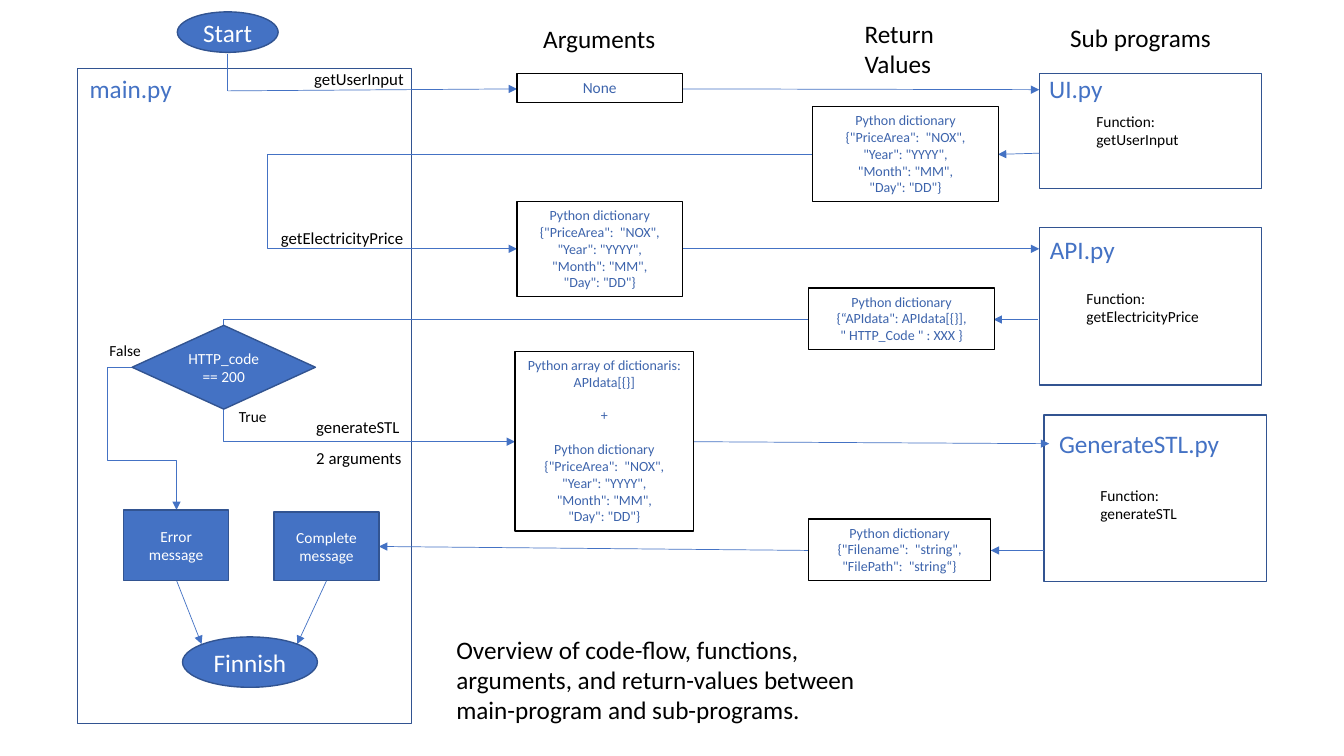
from lxml import etree
from pptx import Presentation
from pptx.dml.color import RGBColor
from pptx.enum.shapes import MSO_CONNECTOR, MSO_SHAPE
from pptx.enum.text import MSO_ANCHOR, MSO_AUTO_SIZE, PP_ALIGN
from pptx.oxml.ns import qn
from pptx.util import Cm, Pt

RECT, OVAL, DIAMOND = MSO_SHAPE.RECTANGLE, MSO_SHAPE.OVAL, MSO_SHAPE.DIAMOND
LINE, ELBOW = MSO_CONNECTOR.STRAIGHT, MSO_CONNECTOR.ELBOW
LEFT, CENTER = PP_ALIGN.LEFT, PP_ALIGN.CENTER
TOP, MIDDLE = MSO_ANCHOR.TOP, MSO_ANCHOR.MIDDLE
GROW = MSO_AUTO_SIZE.SHAPE_TO_FIT_TEXT

BLUE = RGBColor(0x44, 0x72, 0xC4)
NAVY = RGBColor(0x32, 0x54, 0x91)
INK = RGBColor(0x3D, 0x64, 0xAC)
BLACK = RGBColor(0, 0, 0)
WHITE = RGBColor(0xFF, 0xFF, 0xFF)
FONT = "Calibri"

TITLE = "Python dictionary"
DATE = [TITLE, '{"PriceArea":\u00a0 "NOX",', '"Year": "YYYY",',
        '"Month": "MM",', '"Day": "DD"}']

FRAMES = [
    (1.96, 1.73, 8.41, 16.51),
    (26.19, 1.85, 5.61, 2.9),
    (26.19, 5.74, 5.61, 3.96),
    (26.31, 10.46, 5.61, 4.19),
]
ARROWS = [
    (5.74, 2.29, 13.03, 2.24),
    (17.2, 2.24, 26.19, 2.26),
    (26.19, 3.86, 25.15, 3.89),
    (17.2, 6.27, 26.19, 6.27),
    (26.16, 8.05, 25.04, 8.05),
    (17.48, 11.13, 26.44, 11.18),
    (26.31, 13.87, 24.97, 13.87),
    (20.37, 13.87, 9.55, 13.77),
    (4.45, 14.63, 5.08, 16.23),
    (8.23, 14.63, 7.49, 16.23),
]
BENDS = [
    ((20.47, 3.89, 13.03, 6.27), [184500]),
    ((20.37, 8.05, 12.98, 11.13), [199600]),
    ((3.33, 9.27, 4.45, 12.85), [-56600, 64800]),
]
BOXES = [
    ((13.03, 1.85, 4.17, 0.74), ["None"], 11),
    ((20.47, 2.69, 4.7, 2.39), DATE, 10),
    ((13.03, 5.08, 4.17, 2.39), DATE, 10),
    ((20.37, 7.26, 4.7, 1.55),
     [TITLE, '{\u201cAPIdata":\u00a0APIdata[{}],', '" HTTP_Code " : XXX }'], 10),
    ((12.98, 8.86, 4.5, 4.52),
     ["Python array of dictionaris:", "APIdata[{}]", "+"] + DATE, 10),
    ((20.37, 13.08, 4.6, 1.55),
     [TITLE, '{"Filename":\u00a0 "string",', '"FilePath":\u00a0 "string\u201c}'], 10),
]
NODES = [
    (OVAL, (4.47, 0.3, 2.54, 1.02), ["Start"], 18),
    (DIAMOND, (3.33, 8.2, 4.62, 2.11), ["HTTP_code == 200"], 11),
    (RECT, (3.12, 12.85, 2.64, 1.78), ["Error", "message"], 11),
    (RECT, (6.91, 12.9, 2.64, 1.73), ["Complete", "message"], 11),
    (OVAL, (4.6, 16.05, 3.4, 1.27), ["Finnish"], 18),
]
FILES = [
    ((2.01, 1.73, 2.59, 1.02), "main.py"),
    ((26.19, 1.73, 1.88, 1.02), "UI.py"),
    ((26.21, 5.79, 2.16, 1.02), "API.py"),
    ((26.44, 10.67, 4.6, 1.02), "GenerateSTL.py"),
]
HEADS = [
    ((13.44, 0.46, 3.38, 1.02), ["Arguments"]),
    ((21.54, 0.33, 2.44, 1.8), ["Return", "Values"]),
    ((26.72, 0.43, 4.09, 1.02), ["Sub programs"]),
]
CALLS = [
    ((27.38, 2.69, 2.59, 1.19), "getUserInput"),
    ((27.13, 7.16, 5.36, 1.19), "getElectricityPrice"),
    ((27.48, 12.12, 4.32, 1.19), "generateSTL"),
]
TAGS = [
    ((7.67, 1.6, 2.79, 0.76), "getUserInput", 12),
    ((6.83, 5.61, 3.63, 0.76), "getElectricityPrice", 12),
    ((5.77, 10.13, 1.24, 0.74), "True", 11),
    ((2.51, 8.48, 1.32, 0.74), "False", 11),
]
NOTE = ("Overview of code-flow, functions, arguments, and return-values "
        "between main-program and sub-programs.")


def write(frame, lines, size, color, align=LEFT, space=None):
    """Write each line as one paragraph with one run."""
    for i, line in enumerate(lines):
        para = frame.paragraphs[0] if i == 0 else frame.add_paragraph()
        para.alignment = align
        if space:
            para.line_spacing = space
        if line == "+":
            para.space_before = para.space_after = Pt(12)
        run = para.add_run()
        run.text = line
        run.font.name = FONT
        run.font.size = Pt(size)
        run.font.color.rgb = color


def add_form(slide, kind, area, fill, edge):
    """Add a flat preset shape; no fill when fill is None."""
    form = slide.shapes.add_shape(kind, *map(Cm, area))
    form.shadow.inherit = False
    if fill is None:
        form.fill.background()
    else:
        form.fill.solid()
        form.fill.fore_color.rgb = fill
    form.line.color.rgb = edge
    form.line.width = Pt(1)
    return form


def add_node(slide, kind, area, lines, size):
    """Add a blue flow step."""
    frame = add_form(slide, kind, area, BLUE, NAVY).text_frame
    frame.word_wrap = True
    frame.vertical_anchor = MIDDLE
    write(frame, lines, size, WHITE, CENTER)


def add_data(slide, area, lines, size):
    """Add a white box of arguments or return values."""
    frame = add_form(slide, RECT, area, WHITE, BLACK).text_frame
    frame.word_wrap = True
    frame.auto_size = GROW
    frame.vertical_anchor = TOP
    write(frame, lines, size, INK, CENTER)


def add_label(slide, area, lines, size, color=BLACK, wrap=False, space=None):
    """Add free text."""
    frame = slide.shapes.add_textbox(*map(Cm, area)).text_frame
    frame.word_wrap = wrap
    frame.auto_size = GROW
    write(frame, lines, size, color, space=space)


def add_link(slide, ends, bends=(), head=True):
    """Add a thin line, bent where bends are given."""
    kind = ELBOW if bends else LINE
    link = slide.shapes.add_connector(kind, *map(Cm, ends))
    link.line.color.rgb = BLUE
    link.line.width = Pt(0.5)
    props = link._element.spPr
    if head:
        etree.SubElement(props.find(qn("a:ln")), qn("a:tailEnd"), type="triangle")
    etree.SubElement(props, qn("a:effectLst"))
    if bends:
        geom = props.find(qn("a:prstGeom"))
        geom.set("prst", f"bentConnector{len(bends) + 2}")
        guides = geom.find(qn("a:avLst"))
        for i, bend in enumerate(bends, 1):
            etree.SubElement(guides, qn("a:gd"), name=f"adj{i}", fmla=f"val {bend}")


def main():
    """Build the code-flow slide."""
    deck = Presentation()
    deck.slide_width, deck.slide_height = Cm(33.87), Cm(19.05)
    slide = deck.slides.add_slide(deck.slide_layouts[6])
    for area in FRAMES:
        add_form(slide, RECT, area, None, NAVY)
    add_link(slide, (5.74, 1.35, 5.74, 2.29), head=False)
    for ends in ARROWS:
        add_link(slide, ends)
    for ends, bends in BENDS:
        add_link(slide, ends, bends)
    for box in BOXES:
        add_data(slide, *box)
    for node in NODES:
        add_node(slide, *node)
    for area, name in FILES:
        add_label(slide, area, [name], 18, BLUE)
    for area, lines in HEADS:
        add_label(slide, area, lines, 18)
    for area, name in CALLS:
        add_label(slide, area, ["Function:", name], 11, wrap=True)
    for area, name, size in TAGS:
        add_label(slide, area, [name], size)
    add_label(slide, (7.72, 10.13, 2.72, 1.73),
              ["generateSTL", "2 arguments"], 12, space=1.5)
    add_label(slide, (11.25, 15.85, 11.56, 2.57), [NOTE], 18, wrap=True)
    deck.save("out.pptx")


main()
